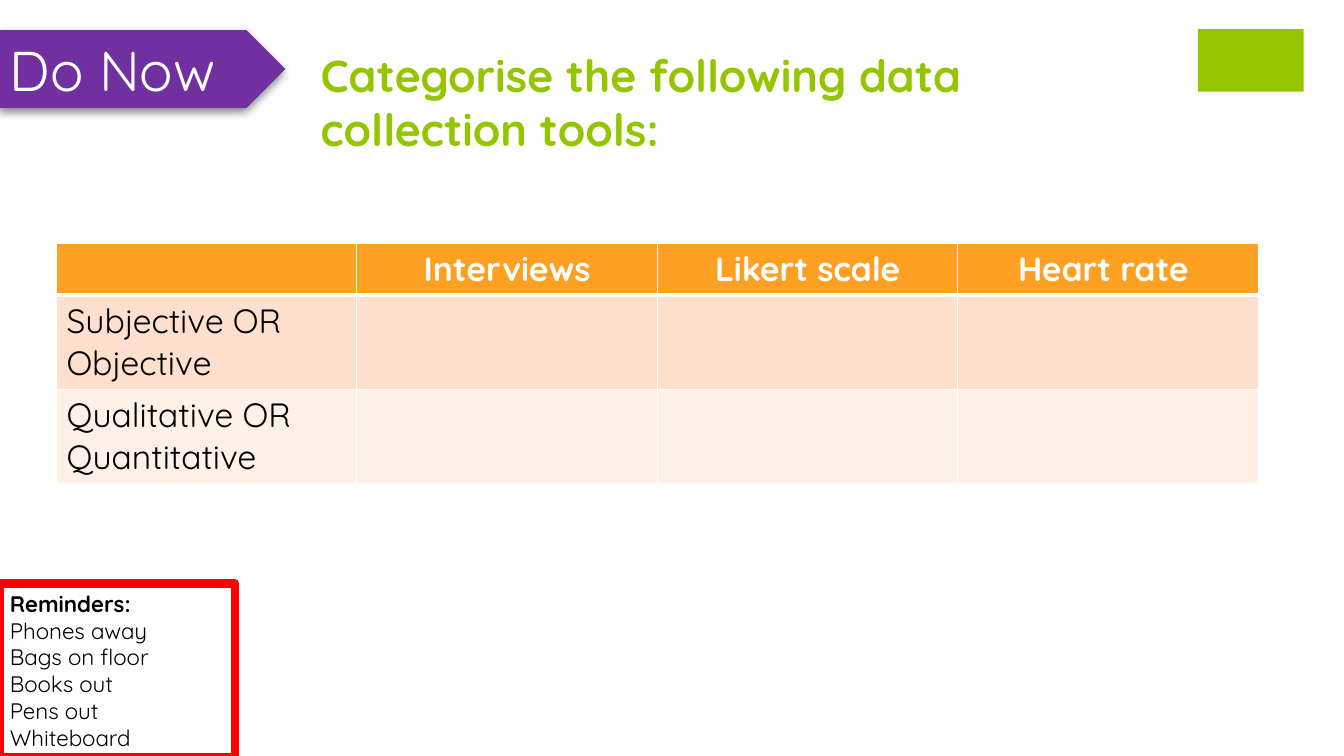
from lxml.etree import SubElement
from pptx import Presentation
from pptx.dml.color import RGBColor
from pptx.enum.shapes import MSO_SHAPE as Shape
from pptx.enum.text import MSO_ANCHOR as Anchor, PP_ALIGN as Align
from pptx.oxml.ns import qn
from pptx.util import Inches, Pt

COLOURS = {
    "green": "94C600",
    "purple": "7030A0",
    "red": "FF0000",
    "orange": "FEA022",
    "peach": "FFDFCD",
    "cream": "FFF0E8",
    "white": "FFFFFF",
    "black": "000000",
}


def colour(name):
    return RGBColor.from_string(COLOURS[name])


def write(frame, text, size, color="black", bold=False, align=Align.LEFT, bold_first=False):
    """Fill a text frame with one paragraph for each line of text."""
    frame.word_wrap = True
    for index, line in enumerate(text.split("\n")):
        paragraph = frame.paragraphs[0] if index == 0 else frame.add_paragraph()
        paragraph.alignment = align
        run = paragraph.add_run()
        run.text = line
        run.font.name = "Quicksand"
        run.font.size = Pt(size)
        run.font.bold = bold or (bold_first and index == 0)
        run.font.color.rgb = colour(color)


def add_solid_fill(parent, color):
    fill = SubElement(parent, qn("a:solidFill"))
    return SubElement(fill, qn("a:srgbClr"), val=COLOURS[color])


class SlideBuilder:
    def __init__(self, presentation):
        self.slide = presentation.slides.add_slide(presentation.slide_layouts[5])

    def title(self, text, left, top, width, height, **style):
        title = self.slide.shapes.title
        title.left, title.top = Inches(left), Inches(top)
        title.width, title.height = Inches(width), Inches(height)
        title.text_frame.vertical_anchor = Anchor.BOTTOM
        write(title.text_frame, text, **style)

    def shape(self, kind, left, top, width, height, fill=None, line=None, line_width=0):
        shape = self.slide.shapes.add_shape(
            kind, Inches(left), Inches(top), Inches(width), Inches(height))
        shape.shadow.inherit = False
        if fill:
            shape.fill.solid()
            shape.fill.fore_color.rgb = colour(fill)
        else:
            shape.fill.background()
        if line:
            shape.line.color.rgb = colour(line)
            shape.line.width = Pt(line_width)
        else:
            shape.line.fill.background()
        shape.text_frame.vertical_anchor = Anchor.MIDDLE
        return shape

    def drop_shadow(self, shape, blur, distance, degrees, opacity):
        effects = shape._element.spPr.find(qn("a:effectLst"))
        shadow = SubElement(
            effects, qn("a:outerShdw"), blurRad=str(Pt(blur)), dist=str(Pt(distance)),
            dir=str(degrees * 60000), algn="tl", rotWithShape="0")
        black = SubElement(shadow, qn("a:srgbClr"), val=COLOURS["black"])
        SubElement(black, qn("a:alpha"), val=str(opacity * 1000))

    def cell(self, cell, text, fill, bottom_width=1, top_width=1, **style):
        properties = cell._tc.get_or_add_tcPr()
        widths = {"L": 1, "R": 1, "T": top_width, "B": bottom_width}
        for side, width in widths.items():
            border = SubElement(properties, qn(f"a:ln{side}"), w=str(Pt(width)))
            add_solid_fill(border, "white")
        cell.fill.solid()
        cell.fill.fore_color.rgb = colour(fill)
        if text:
            write(cell.text_frame, text, size=24, **style)

    def table(self, headings, labels, left, top, width, row_heights):
        table = self.slide.shapes.add_table(
            len(labels) + 1, len(headings), Inches(left), Inches(top),
            Inches(width), Inches(sum(row_heights))).table
        for row, height in zip(table.rows, row_heights):
            row.height = Inches(height)
        for column, heading in enumerate(headings):
            self.cell(table.cell(0, column), heading, "orange", bottom_width=3,
                      color="white", bold=True, align=Align.CENTER)
            for row, label in enumerate(labels, start=1):
                self.cell(table.cell(row, column), "" if column else label,
                          "peach" if row % 2 else "cream",
                          top_width=3 if row == 1 else 1)


def main():
    presentation = Presentation()
    presentation.slide_width, presentation.slide_height = Inches(13.33), Inches(7.5)
    builder = SlideBuilder(presentation)

    builder.shape(Shape.RECTANGLE, 11.88, 0.29, 1.05, 0.62, fill="green")
    builder.title("Categorise the following data collection tools:",
                  3.08, -0.21, 7.85, 1.8, size=32, color="green", bold=True)

    do_now = builder.shape(Shape.PENTAGON, 0, 0.3, 2.83, 0.77, fill="purple")
    builder.drop_shadow(do_now, blur=7, distance=3, degrees=110, opacity=50)
    write(do_now.text_frame, "Do Now", size=40, color="white")

    reminders = builder.shape(Shape.RECTANGLE, 0, 5.79, 2.33, 1.72, line="red", line_width=6)
    write(reminders.text_frame,
          "Reminders:\nPhones away\nBags on floor\nBooks out\nPens out\nWhiteboard",
          size=16, bold_first=True)

    builder.table(["", "Interviews", "Likert scale", "Heart rate "],
                  ["Subjective OR Objective", "Qualitative OR Quantitative"],
                  0.56, 2.41, 11.92, [0.5, 0.9, 0.9])
    presentation.save("out.pptx")


if __name__ == "__main__":
    main()
